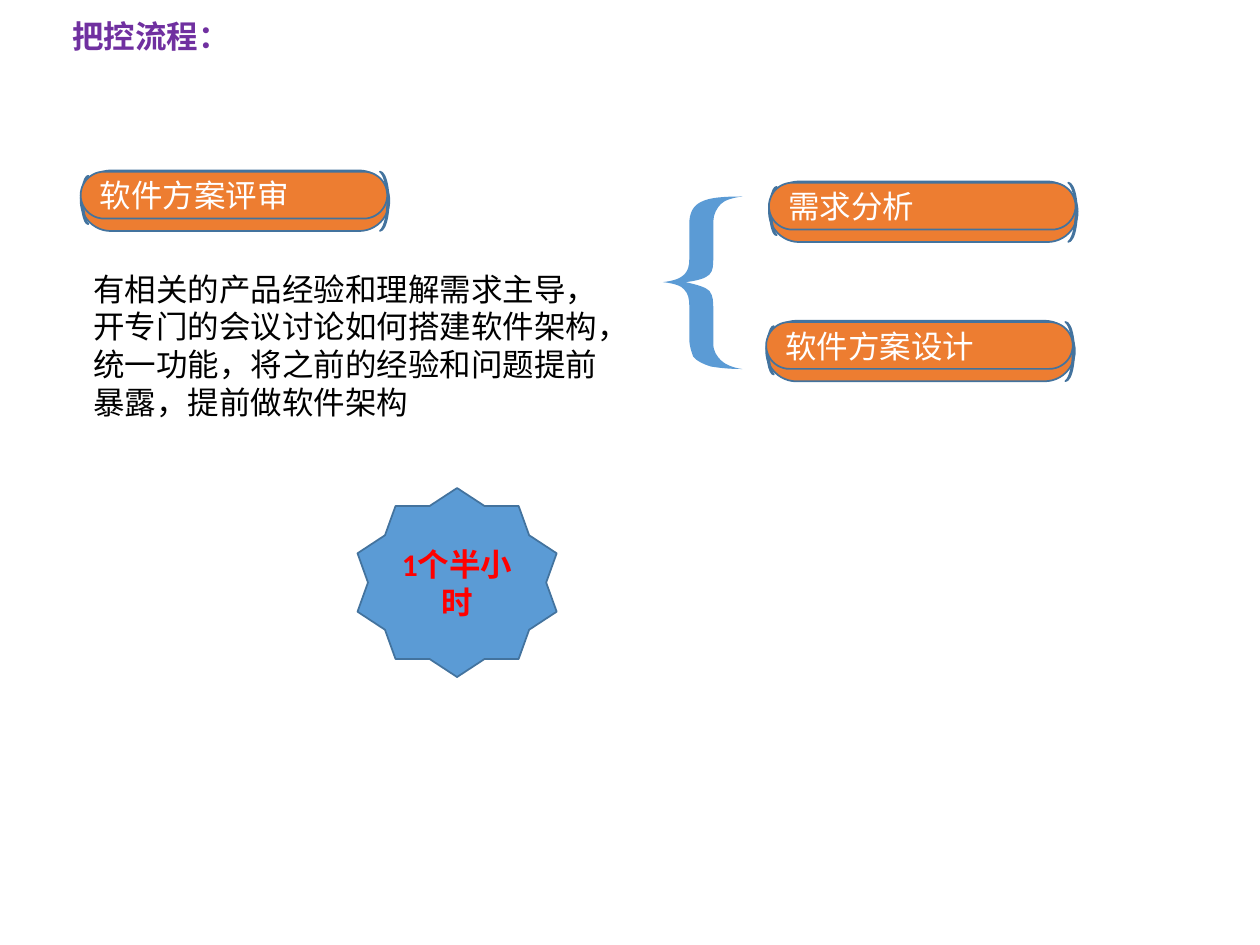
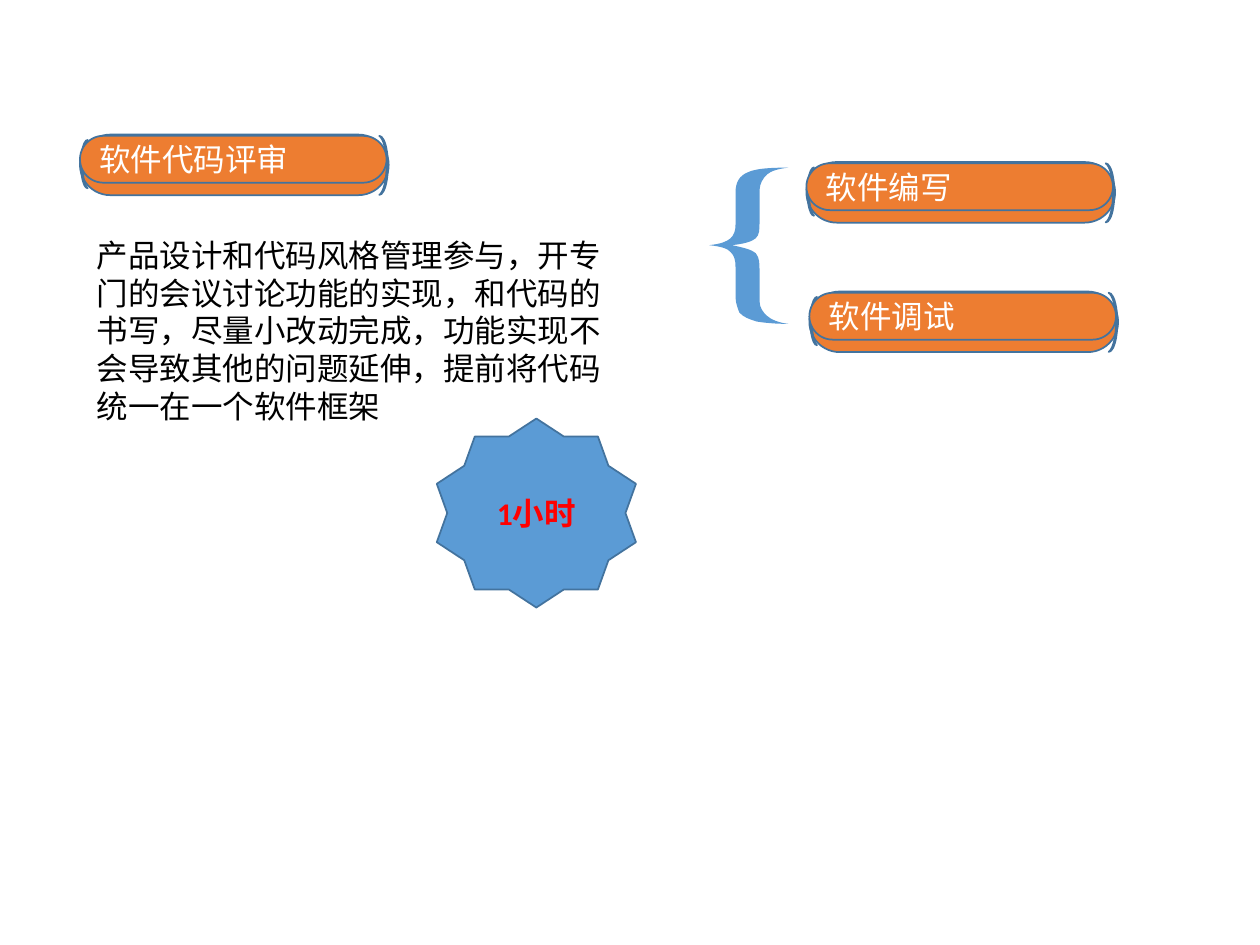
from dataclasses import dataclass

from lxml.etree import SubElement
from pptx import Presentation
from pptx.dml.color import RGBColor
from pptx.enum.shapes import MSO_SHAPE
from pptx.enum.text import MSO_ANCHOR, MSO_AUTO_SIZE, PP_ALIGN
from pptx.oxml.ns import qn
from pptx.util import Pt

ORANGE = RGBColor(0xED, 0x7D, 0x31)
BLUE = RGBColor(0x5B, 0x9B, 0xD5)
OUTLINE = RGBColor(0x43, 0x73, 0x9E)
PURPLE = RGBColor(0x70, 0x30, 0xA0)
RED = RGBColor(0xFF, 0x00, 0x00)
BLACK = RGBColor(0x00, 0x00, 0x00)
WHITE = RGBColor(0xFF, 0xFF, 0xFF)

TITLE_ONLY, BLANK = 5, 6
TEXT_SIZE = 18
DESCRIPTION_WIDTH = 315.4
BADGE_WIDTH, BADGE_HEIGHT = 113.8, 108

# Left brace on a 63 x 137 grid: one point is a line, three are a Bezier curve
BRACE_WIDTH = 45.4
BRACE_GRID = (63, 137)
BRACE_START = (40, 20)
BRACE_STEPS = [
    [(40, 14), (43, 9), (46, 6)], [(49, 3), (55, 1), (63, 0)],
    [(47, 0), (37, 1), (31, 4)], [(24, 7), (21, 13), (21, 22)],
    [(21, 50)],
    [(21, 55), (20, 59), (17, 62)], [(14, 65), (9, 67), (0, 68)],
    [(9, 69), (15, 71), (17, 74)], [(20, 77), (21, 81), (21, 87)],
    [(21, 113)],
    [(21, 119), (23, 124), (24, 127)], [(27, 131), (32, 133), (38, 135)],
    [(44, 136), (52, 137), (63, 137)], [(55, 136), (49, 133), (46, 130)],
    [(43, 127), (40, 123), (40, 117)],
    [(40, 90)],
    [(40, 84), (40, 79), (37, 75)], [(34, 72), (27, 70), (18, 68)],
    [(27, 67), (34, 65), (37, 62)], [(40, 59), (40, 54), (40, 48)],
]


@dataclass
class Label:
    text: str
    left: float
    top: float


@dataclass
class Brace:
    left: float
    top: float
    height: float


@dataclass
class Review:
    title: str
    heading: Label
    steps: list[Label]
    brace: Brace
    description: Label
    duration: Label


@dataclass
class PillPart:
    kind: MSO_SHAPE
    left: float
    top: float
    width: float
    height: float
    adjustment: float
    rotation: float = 0


# Parts of a pill from back to front; the last one carries the text
PILL_PARTS = [
    PillPart(MSO_SHAPE.ROUNDED_RECTANGLE, 0, 0, 176.4, 34.6, 0.5),
    PillPart(MSO_SHAPE.MOON, 171, 0.7, 5, 33.8, 0.16, 180),
    PillPart(MSO_SHAPE.MOON, 0.6, 3.1, 3.8, 27.6, 0.22),
    PillPart(MSO_SHAPE.ROUNDED_RECTANGLE, 0, 0.7, 175.2, 26.8, 0.5),
]

REVIEWS = [
    Review(
        title="把控流程：",
        heading=Label("软件方案评审", 46.1, 97.4),
        steps=[Label("需求分析", 439.4, 103.7), Label("软件方案设计", 437.8, 183.3)],
        brace=Brace(378.8, 112.3, 98.6),
        description=Label(
            "有相关的产品经验和理解需求主导，开专门的会议讨论如何搭建软件架构，"
            "统一功能，将之前的经验和问题提前暴露，提前做软件架构", 46.1, 150.5),
        duration=Label("1个半小时", 204.3, 278.9),
    ),
    Review(
        title="",
        heading=Label("软件代码评审", 45.7, 76.9),
        steps=[Label("软件编写", 460.8, 92.6), Label("软件调试", 462.5, 166.6)],
        brace=Brace(405.2, 95.8, 89.3),
        description=Label(
            "产品设计和代码风格管理参与，开专门的会议讨论功能的实现，和代码的书写，"
            "尽量小改动完成，功能实现不会导致其他的问题延伸，提前将代码统一在一个软件框架",
            48.2, 131.2),
        duration=Label("1小时", 249.6, 239.2),
    ),
]


def write_text(shape, text: str, font_name: str, color: RGBColor, *, bold: bool = False,
               wrap: bool = True, align=PP_ALIGN.LEFT, anchor=MSO_ANCHOR.MIDDLE) -> None:
    frame = shape.text_frame
    frame.text = text
    frame.word_wrap = wrap
    frame.vertical_anchor = anchor
    paragraph = frame.paragraphs[0]
    paragraph.alignment = align
    font = paragraph.runs[0].font
    font.name, font.size, font.bold = font_name, Pt(TEXT_SIZE), bold
    font.color.rgb = color


def style_shape(shape, fill: RGBColor, outlined: bool = True) -> None:
    shape.shadow.inherit = False
    shape.fill.solid()
    shape.fill.fore_color.rgb = fill
    if outlined:
        shape.line.color.rgb = OUTLINE
        shape.line.width = Pt(1)
    else:
        shape.line.fill.background()


def draw_title(slide, text: str) -> None:
    title = slide.shapes.title
    title.left, title.top, title.width, title.height = Pt(34.2), Pt(6.1), Pt(105.4), Pt(28.8)
    write_text(title, text, "Arial", PURPLE, bold=True, wrap=False, anchor=MSO_ANCHOR.TOP)
    title.text_frame.auto_size = MSO_AUTO_SIZE.SHAPE_TO_FIT_TEXT


def draw_pill(slide, label: Label) -> None:
    pill = slide.shapes.add_group_shape()
    for part in PILL_PARTS:
        face = pill.shapes.add_shape(part.kind, Pt(label.left + part.left), Pt(label.top + part.top),
                                     Pt(part.width), Pt(part.height))
        face.adjustments[0] = part.adjustment
        face.rotation = part.rotation
        style_shape(face, ORANGE)
    write_text(face, label.text, "Karla", WHITE, wrap=False)


def bend_outline(shape, steps: list) -> None:
    """Turn each run of three outline points into one Bezier curve."""
    outline = next(shape.element.iter(qn("a:path")))
    lines = iter(outline.findall(qn("a:lnTo")))
    for step in steps:
        segments = [next(lines) for _ in step]
        if len(segments) == 3:
            curve = SubElement(outline, qn("a:cubicBezTo"))
            segments[0].addprevious(curve)
            for segment in segments:
                curve.append(segment[0])
                outline.remove(segment)


def draw_brace(slide, brace: Brace) -> None:
    grid_width, grid_height = BRACE_GRID
    points = [BRACE_START] + [point for step in BRACE_STEPS for point in step]
    vertices = [(Pt(brace.left + x * BRACE_WIDTH / grid_width),
                 Pt(brace.top + y * brace.height / grid_height)) for x, y in points]
    builder = slide.shapes.build_freeform(*vertices[0])
    builder.add_line_segments(vertices[1:], close=True)
    shape = builder.convert_to_shape()
    bend_outline(shape, BRACE_STEPS)
    style_shape(shape, BLUE, outlined=False)


def draw_duration(slide, label: Label) -> None:
    badge = slide.shapes.add_shape(MSO_SHAPE.STAR_10_POINT, Pt(label.left), Pt(label.top),
                                   Pt(BADGE_WIDTH), Pt(BADGE_HEIGHT))
    style_shape(badge, BLUE)
    write_text(badge, label.text, "Calibri", RED, bold=True, align=PP_ALIGN.CENTER)


def draw_description(slide, label: Label) -> None:
    lines = -(-len(label.text) // 16)
    description = slide.shapes.add_textbox(Pt(label.left), Pt(label.top),
                                           Pt(DESCRIPTION_WIDTH), Pt(7.2 + 21.6 * lines))
    write_text(description, label.text, "Arial", BLACK, anchor=MSO_ANCHOR.TOP)
    description.text_frame.auto_size = MSO_AUTO_SIZE.SHAPE_TO_FIT_TEXT


def draw_review(deck, review: Review) -> None:
    layout = deck.slide_layouts[TITLE_ONLY if review.title else BLANK]
    slide = deck.slides.add_slide(layout)
    if review.title:
        draw_title(slide, review.title)
    # Process steps gathered by the brace
    for step in review.steps:
        draw_pill(slide, step)
    draw_brace(slide, review.brace)
    # Review meeting: name, length and purpose
    draw_pill(slide, review.heading)
    draw_duration(slide, review.duration)
    draw_description(slide, review.description)


deck = Presentation()
deck.slide_width, deck.slide_height = Pt(720), Pt(540)
for review in REVIEWS:
    draw_review(deck, review)
deck.save("out.pptx")
